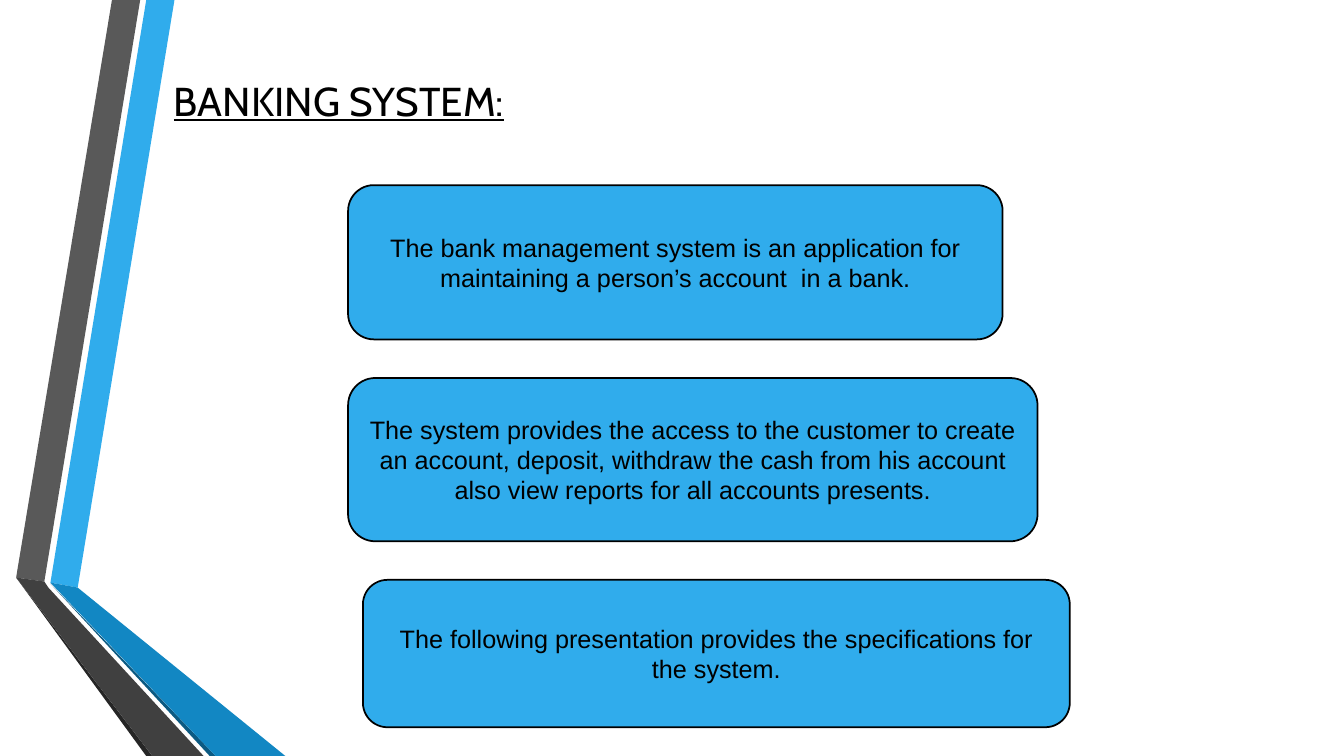
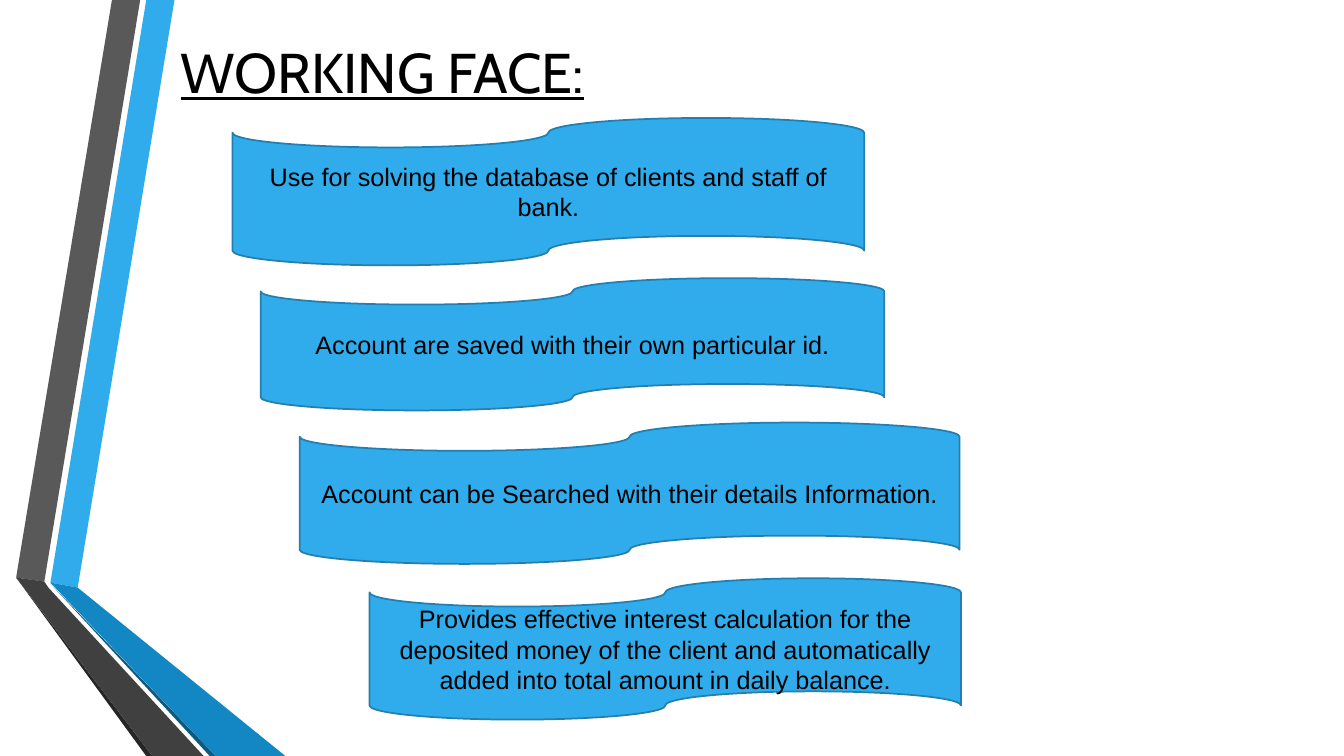
"""Build two bank system slides with a shared folded ribbon."""
from pptx import Presentation
from pptx.dml.color import RGBColor
from pptx.enum.shapes import MSO_SHAPE
from pptx.enum.text import MSO_ANCHOR, PP_ALIGN
from pptx.util import Inches, Pt

ROUND = MSO_SHAPE.ROUNDED_RECTANGLE
TAPE = MSO_SHAPE.FLOWCHART_PUNCHED_TAPE
MIDDLE = MSO_ANCHOR.MIDDLE
CENTER = PP_ALIGN.CENTER
WIDE, HIGH = Inches(13.33), Inches(7.5)

BLACK = RGBColor(0x00, 0x00, 0x00)
BLUE = RGBColor(0x30, 0xAC, 0xEC)
EDGE = RGBColor(0x24, 0x7F, 0xAF)
DEEP = RGBColor(0x12, 0x87, 0xC3)
NAVY = RGBColor(0x0C, 0x5A, 0x82)
GREY = RGBColor(0x59, 0x59, 0x59)
DARK = RGBColor(0x40, 0x40, 0x40)
COAL = RGBColor(0x26, 0x26, 0x26)

BANDS = [
    (BLUE, [(3.75, 77.07), (5.78, 77.73), (12.98, 0), (10.88, 0)]),
    (GREY, [(10.43, 0), (8.33, 0), (1.2, 76.4), (3.3, 76.93)]),
    (COAL, [(1.2, 76.4), (10.88, 100), (11.33, 100)]),
    (NAVY, [(3.75, 77.2), (15.6, 100), (16.05, 100)]),
    (DEEP, [(3.75, 77.07), (16.05, 100), (21.23, 100), (5.78, 77.73)]),
    (DARK, [(15.15, 100), (3.6, 77.73), (3.3, 76.93), (1.2, 76.4), (11.33, 100)]),
]

SYSTEM = [
    ((25.9, 24.5, 48.7, 20.4),
     "The bank management system is an application for maintaining a person’s account  in a bank."),
    ((25.9, 50, 51.3, 21.6),
     "The system provides the access to the customer to create an account, deposit, "
     "withdraw the cash from his account also view reports for all accounts presents."),
    ((27, 76.7, 52.6, 19.5),
     "The following presentation provides the specifications for the system."),
]

WORKING = [
    ((17.3, 15.6, 47, 19.5),
     "Use for solving the database of clients and staff of bank."),
    ((19.4, 36.8, 46.4, 17.5),
     "Account are saved with their own particular id."),
    ((22.3, 55.9, 49.1, 18.7),
     "Account can be Searched with their details Information."),
    ((27.5, 76.5, 44, 18.7),
     "Provides effective interest calculation for the deposited money of the client "
     "and automatically added into total amount in daily balance."),
]


def point(x, y):
    """Turn percentages of the slide into lengths."""
    return round(WIDE * x / 100), round(HIGH * y / 100)


def area(box):
    """Turn a box in percent into left, top, width and height."""
    return *point(*box[:2]), *point(*box[2:])


def write(shape, text, face, size):
    """Put one black paragraph in the middle of a shape and return it."""
    frame = shape.text_frame
    frame.word_wrap = True
    frame.vertical_anchor = MIDDLE
    frame.text = text
    para = frame.paragraphs[0]
    font = para.runs[0].font
    font.name, font.size = face, Pt(size)
    font.color.rgb = BLACK
    return para


def paint(shape, fill, line=None):
    """Give a shape a flat fill and an optional outline."""
    shape.shadow.inherit = False
    shape.fill.solid()
    shape.fill.fore_color.rgb = fill
    if line is None:
        shape.line.fill.background()
    else:
        shape.line.color.rgb = line
        shape.line.width = Pt(1.25)


def ribbon(slide):
    """Draw the folded bands at the left edge."""
    for fill, marks in BANDS:
        first, *rest = [point(*mark) for mark in marks]
        form = slide.shapes.build_freeform(*first)
        form.add_line_segments(rest, close=True)
        paint(form.convert_to_shape(), fill)


def title(slide, box, text, size):
    """Add the underlined heading."""
    para = write(slide.shapes.add_textbox(*area(box)), text, "Cabin", size)
    para.runs[0].font.underline = True


def cards(slide, kind, line, items):
    """Add one filled text shape for each item."""
    for box, text in items:
        card = slide.shapes.add_shape(kind, *area(box))
        paint(card, BLUE, line)
        write(card, text, "Arial", 18).alignment = CENTER


def page(deck, head, body):
    """Add a slide with ribbon, heading and cards."""
    slide = deck.slides.add_slide(deck.slide_layouts[6])
    ribbon(slide)
    title(slide, *head)
    cards(slide, *body)


def main():
    """Build and save the deck."""
    deck = Presentation()
    deck.slide_width, deck.slide_height = WIDE, HIGH
    page(deck, ((12.2, 7, 82.2, 12.5), "BANKING SYSTEM:", 28.8), (ROUND, BLACK, SYSTEM))
    page(deck, ((12.7, 0, 61.2, 18.7), "WORKING FACE:", 40), (TAPE, EDGE, WORKING))
    deck.save("out.pptx")


if __name__ == "__main__":
    main()
